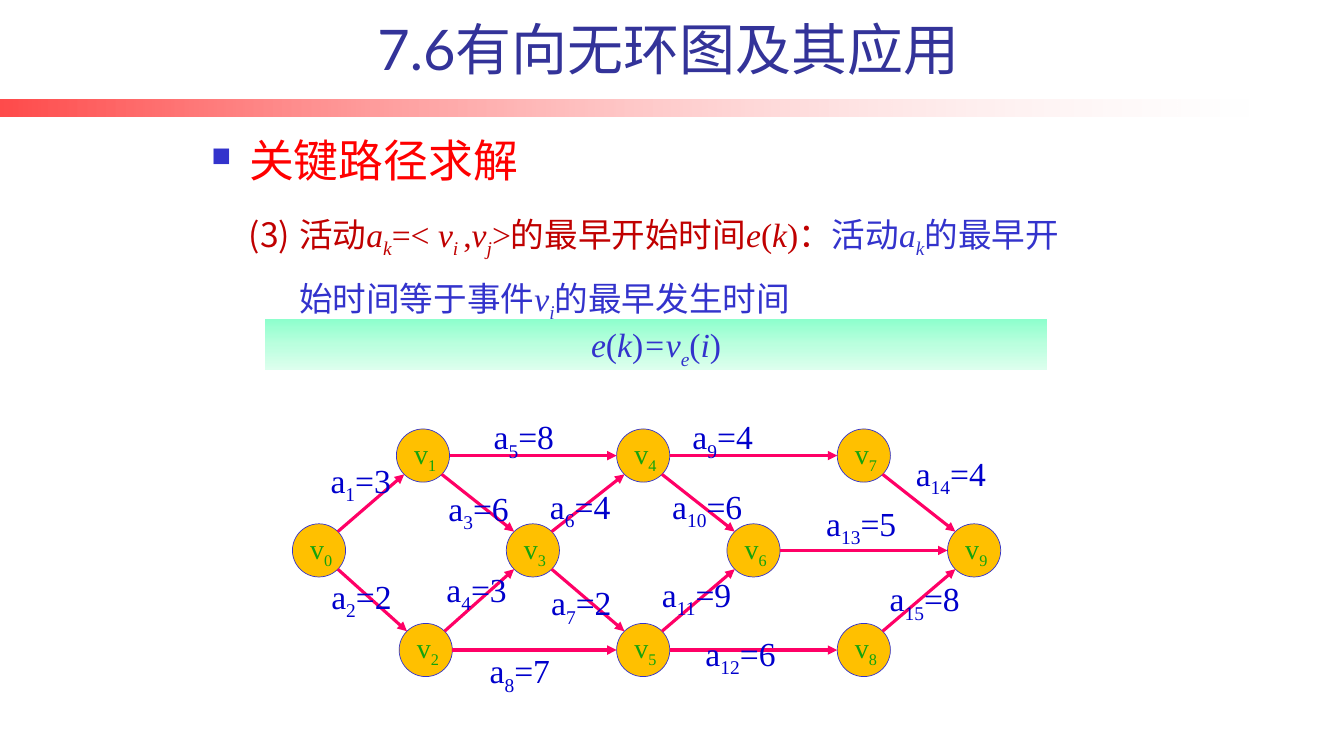
import math
from dataclasses import dataclass

import lxml.etree
import pptx
import pptx.dml.color
import pptx.enum.shapes
import pptx.enum.text
import pptx.oxml.ns
import pptx.util

Cm = pptx.util.Cm
Pt = pptx.util.Pt
RGBColor = pptx.dml.color.RGBColor
Align = pptx.enum.text.PP_ALIGN
Anchor = pptx.enum.text.MSO_ANCHOR
Shape = pptx.enum.shapes.MSO_SHAPE
qn = pptx.oxml.ns.qn

RED = RGBColor(0xFF, 0x00, 0x00)
WHITE = RGBColor(0xFF, 0xFF, 0xFF)
INDIGO = RGBColor(0x33, 0x33, 0x99)
BLUE = RGBColor(0x33, 0x33, 0xCC)
LABEL_BLUE = RGBColor(0x00, 0x00, 0xCC)
DARK_RED = RGBColor(0xC0, 0x00, 0x00)
GOLD = RGBColor(0xFF, 0xC0, 0x00)
GREEN = RGBColor(0x14, 0xA3, 0x0D)
PINK = RGBColor(0xFF, 0x00, 0x66)
MINT = RGBColor(0x8E, 0xFF, 0xCD)
MID_MINT = RGBColor(0xBA, 0xFF, 0xDE)
PALE_MINT = RGBColor(0xDD, 0xFF, 0xEE)

SERIF = "Times New Roman"
DIAMETER = 1.34
TOP_ROW, MIDDLE_ROW, BOTTOM_ROW = 11.48, 13.87, 16.38
COLUMNS = [13.43 + 2.78 * step for step in range(5)]


@dataclass(frozen=True)
class Span:
    text: str
    italic: bool = False
    sub: bool = False
    color: RGBColor | None = None


@dataclass(frozen=True)
class Activity:
    start: int
    end: int
    weight: int
    left: float
    top: float


# Centres of events v0 to v9, in centimetres
EVENTS = [
    (8.04, MIDDLE_ROW), (10.66, TOP_ROW), (10.73, BOTTOM_ROW),
    (COLUMNS[0], MIDDLE_ROW), (COLUMNS[1], TOP_ROW), (COLUMNS[1], BOTTOM_ROW),
    (COLUMNS[2], MIDDLE_ROW), (COLUMNS[3], TOP_ROW), (COLUMNS[3], BOTTOM_ROW),
    (COLUMNS[4], MIDDLE_ROW),
]

# Activities a1 to a15 with the places of their labels
ACTIVITIES = [
    Activity(0, 1, 3, 8.08, 11.46), Activity(0, 2, 2, 8.1, 14.38),
    Activity(1, 3, 6, 11.05, 12.17), Activity(2, 3, 3, 11, 14.2),
    Activity(1, 4, 8, 12.19, 10.36), Activity(3, 4, 4, 13.61, 12.12),
    Activity(3, 5, 2, 13.64, 14.55), Activity(2, 5, 7, 12.09, 16.26),
    Activity(4, 7, 4, 17.2, 10.36), Activity(4, 6, 6, 16.69, 12.12),
    Activity(5, 6, 9, 16.43, 14.33), Activity(5, 8, 6, 17.53, 15.82),
    Activity(6, 9, 5, 20.57, 12.55), Activity(7, 9, 4, 22.83, 11.28),
    Activity(8, 9, 8, 22.17, 14.45),
]

DEFINITION = [
    Span("活动"), Span("a", italic=True), Span("k", italic=True, sub=True),
    Span("=< "), Span("v", italic=True), Span("i ", italic=True, sub=True),
    Span(","), Span("v", italic=True), Span("j", italic=True, sub=True),
    Span(">的最早开始时间"), Span("e", italic=True), Span("("),
    Span("k", italic=True), Span(")："),
    Span("活动", color=BLUE), Span("a", italic=True, color=BLUE),
    Span("k", italic=True, sub=True, color=BLUE),
    Span("的最早开始时间等于事件", color=BLUE), Span("v", italic=True, color=BLUE),
    Span("i", italic=True, sub=True, color=BLUE),
    Span("的最早发生时间", color=BLUE),
]

FORMULA = [
    Span("e", italic=True), Span("("), Span("k", italic=True), Span(")"),
    Span("=v", italic=True), Span("e", italic=True, sub=True),
    Span("("), Span("i", italic=True), Span(")"),
]


def write(box, spans: list[Span], *, size: float, color: RGBColor, font: str = SERIF,
          align=Align.LEFT, anchor=Anchor.TOP, wrap: bool = True):
    """Fill the box with one paragraph and return the paragraph."""
    frame = box.text_frame
    frame.word_wrap = wrap
    frame.vertical_anchor = anchor
    para = frame.paragraphs[0]
    para.alignment = align
    for span in spans:
        run = para.add_run()
        run.text = span.text
        run.font.name = font
        run.font.size = Pt(size)
        run.font.italic = span.italic
        run.font.color.rgb = span.color or color
        if span.sub:
            run.font._element.set("baseline", "-25000")
    return para


def add_text(page, left: float, top: float, width: float, height: float,
             spans: list[Span], **style):
    box = page.shapes.add_textbox(Cm(left), Cm(top), Cm(width), Cm(height))
    return write(box, spans, **style)


def add_plain_shape(page, kind, left: float, top: float, width: float, height: float):
    shape = page.shapes.add_shape(kind, Cm(left), Cm(top), Cm(width), Cm(height))
    shape.shadow.inherit = False
    shape.line.fill.background()
    return shape


def add_child(parent, tag: str, **attributes: str):
    return lxml.etree.SubElement(parent, qn(tag), attributes)


def fill_gradient(shape, stops: list[tuple[int, RGBColor, int]], angle: int) -> None:
    """Each stop is a position, a colour and an opacity in percent."""
    shape.fill.gradient()
    shape.fill.gradient_angle = angle
    stop_list = shape._element.spPr.find(".//" + qn("a:gsLst"))
    for old_stop in list(stop_list):
        stop_list.remove(old_stop)
    for position, color, opacity in stops:
        stop = add_child(stop_list, "a:gs", pos=str(position * 1000))
        tone = add_child(stop, "a:srgbClr", val=str(color))
        if opacity < 100:
            add_child(tone, "a:alpha", val=str(opacity * 1000))


def hang(para, indent: float):
    """Set a hanging indent and return the paragraph properties."""
    properties = para._p.get_or_add_pPr()
    properties.set("marL", str(Cm(indent)))
    properties.set("indent", str(-Cm(indent)))
    return properties


def add_event(page, number: int) -> None:
    x, y = EVENTS[number]
    circle = add_plain_shape(page, Shape.OVAL, x - DIAMETER / 2, y - DIAMETER / 2,
                             DIAMETER, DIAMETER)
    circle.fill.solid()
    circle.fill.fore_color.rgb = GOLD
    circle.line.color.rgb = BLUE
    circle.line.width = Pt(0.5)
    write(circle, [Span("v"), Span(str(number), sub=True)], size=20, color=GREEN,
          anchor=Anchor.MIDDLE, wrap=False)


def add_arrow(page, activity: Activity) -> None:
    """Join two circles at the side or at the 45-degree point."""
    (x1, y1), (x2, y2) = EVENTS[activity.start], EVENTS[activity.end]
    slope = 0 if y1 == y2 else math.copysign(math.pi / 4, y2 - y1)
    dx, dy = DIAMETER / 2 * math.cos(slope), DIAMETER / 2 * math.sin(slope)
    arrow = page.shapes.add_connector(
        pptx.enum.shapes.MSO_CONNECTOR.STRAIGHT,
        Cm(x1 + dx), Cm(y1 + dy), Cm(x2 - dx), Cm(y2 - dy))
    arrow.line.color.rgb = PINK
    arrow.line.width = Pt(2.25)
    add_child(arrow.line._get_or_add_ln(), "a:tailEnd", type="triangle")
    add_child(arrow._element.spPr, "a:effectLst")


def main() -> None:
    deck = pptx.Presentation()
    deck.slide_width, deck.slide_height = Cm(33.87), Cm(19.05)
    page = deck.slides.add_slide(deck.slide_layouts[6])

    # Title and fading rule
    rule = add_plain_shape(page, Shape.RECTANGLE, 0, 2.52, 31.47, 0.41)
    fill_gradient(rule, [(0, RED, 71), (100, WHITE, 18)], 0)
    add_text(page, 6.02, 0.38, 21.64, 1.8, [Span("7.6有向无环图及其应用")], size=40,
             color=INDIGO, font="Lato", align=Align.CENTER, anchor=Anchor.BOTTOM)

    # Heading with a square bullet
    heading = add_text(page, 5.08, 3.15, 8.41, 1.68, [Span("关键路径求解")], size=32,
                       color=RED, anchor=Anchor.BOTTOM)
    heading.space_before = Pt(6.4)
    properties = hang(heading, 0.95)
    add_child(add_child(properties, "a:buClr"), "a:srgbClr", val=str(BLUE))
    add_child(properties, "a:buSzPct", val="60000")
    add_child(properties, "a:buChar", char="■")

    # Numbered definition and its formula
    definition = add_text(page, 6.02, 4.8, 21.08, 3.12, DEFINITION, size=24, color=DARK_RED)
    definition.line_spacing = 1.4
    properties = hang(definition, 1.27)
    add_child(properties, "a:buFont", typeface="+mj-ea")
    add_child(properties, "a:buAutoNum", type="arabicParenBoth", startAt="3")
    band = add_plain_shape(page, Shape.RECTANGLE, 6.68, 8.05, 19.71, 1.27)
    fill_gradient(band, [(0, MINT, 100), (50, MID_MINT, 100), (100, PALE_MINT, 100)], 270)
    write(band, FORMULA, size=24, color=BLUE, align=Align.CENTER)

    # Activity network
    for number in range(len(EVENTS)):
        add_event(page, number)
    for activity in ACTIVITIES:
        add_arrow(page, activity)
    for number, activity in enumerate(ACTIVITIES, start=1):
        label = [Span("a"), Span(str(number), sub=True), Span(f"={activity.weight}")]
        add_text(page, activity.left, activity.top, 2.08 if number < 10 else 2.36, 1.27,
                 label, size=24, color=LABEL_BLUE, wrap=False)

    deck.save("out.pptx")


if __name__ == "__main__":
    main()
